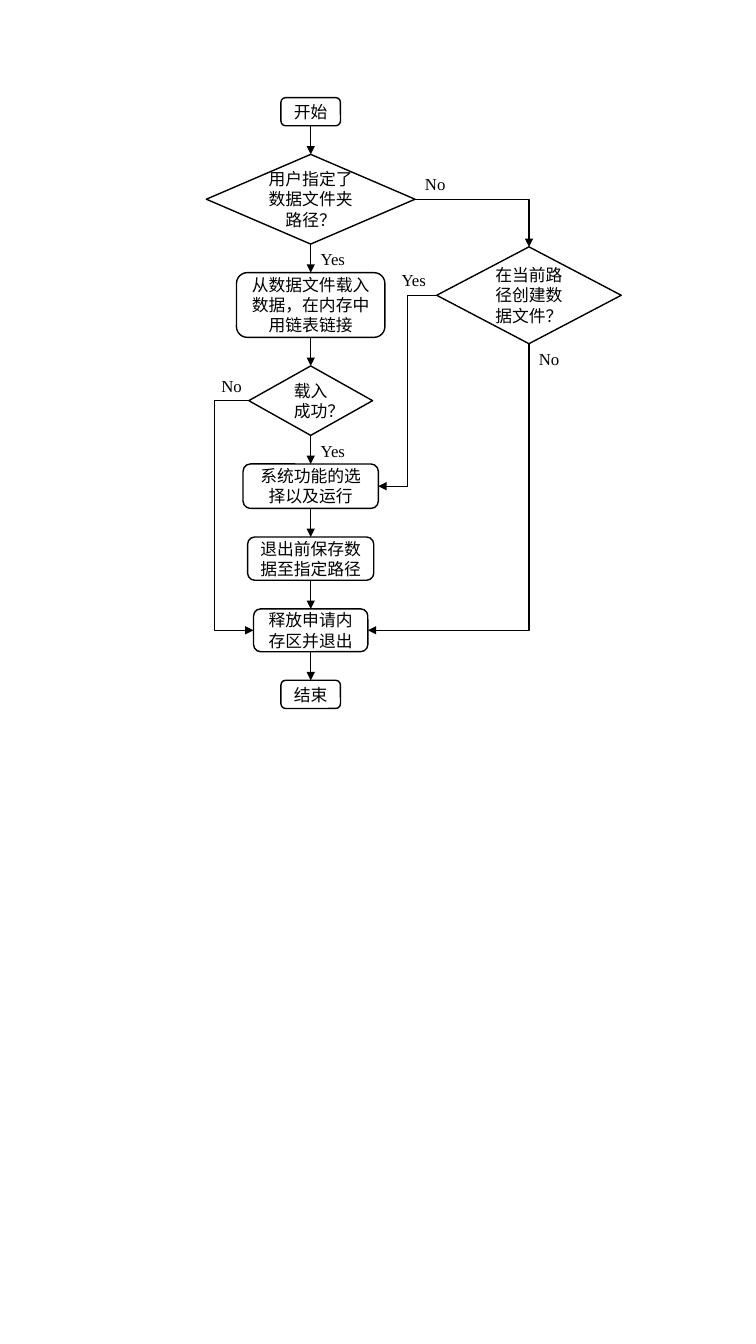
from lxml.etree import SubElement
from pptx import Presentation
from pptx.dml.color import RGBColor
from pptx.enum.shapes import MSO_CONNECTOR as LINK, MSO_SHAPE as SHAPE
from pptx.enum.text import MSO_ANCHOR, MSO_AUTO_SIZE, PP_ALIGN
from pptx.oxml.ns import qn
from pptx.util import Cm, Pt

BLACK, WHITE = "000000", "FFFFFF"
CJK_FONT, LATIN_FONT = "Noto Sans CJK SC", "Times New Roman"
TOP, LEFT, BOTTOM, RIGHT = range(4)  # connection sites
BOX, DECISION = SHAPE.ROUNDED_RECTANGLE, SHAPE.FLOWCHART_DECISION


def paint(color_format, hex_color):
    """Give a fill or a font colour a hex colour."""
    color_format.rgb = RGBColor.from_string(hex_color)


def write(shape, text, font_name, alignment):
    """Put one 12 pt black paragraph into a shape."""
    paragraph = shape.text_frame.paragraphs[0]
    paragraph.text = text
    paragraph.alignment = alignment
    paragraph.font.size = Pt(12)
    paragraph.font.name = font_name
    paint(paragraph.font.color, BLACK)
    default_run = paragraph._p.get_or_add_pPr().get_or_add_defRPr()
    SubElement(default_run, qn("a:ea"), typeface=font_name)


presentation = Presentation()
presentation.slide_width, presentation.slide_height = Cm(19.05), Cm(33.86)
slide = presentation.slides.add_slide(presentation.slide_layouts[6])

# Steps: the main column is stacked with equal gaps, one decision stands beside it
main_x, side_x, gap = 7.83, 13.33, 0.72
main_steps = [
    ("start", BOX, 1.5, 0.71, "开始"),
    ("has_path", DECISION, 5.26, 2.26, "用户指定了数据文件夹路径？"),
    ("load", BOX, 3.74, 1.63, "从数据文件载入数据，在内存中用链表链接"),
    ("loaded", DECISION, 3.12, 1.75, "载入成功？"),
    ("run", BOX, 3.41, 1.12, "系统功能的选择以及运行"),
    ("save", BOX, 3.18, 1.09, "退出前保存数据至指定路径"),
    ("release", BOX, 2.88, 1.08, "释放申请内存区并退出"),
    ("end", BOX, 1.5, 0.71, "结束"),
]
placed_steps = [(side_x, 6.22, "create", DECISION, 4.65, 2.44, "在当前路径创建数据文件？")]
top = 2.46
for step in main_steps:
    placed_steps.append((main_x, top, *step))
    top += step[3] + gap

steps = {}
for center_x, top, name, kind, width, height, text in placed_steps:
    shape = slide.shapes.add_shape(
        kind, Cm(center_x - width / 2), Cm(top), Cm(width), Cm(height))
    shape.shadow.inherit = False
    shape.fill.solid()
    paint(shape.fill.fore_color, WHITE)
    paint(shape.line.color, BLACK)
    shape.line.width = Pt(1)
    shape.text_frame.word_wrap = True
    shape.text_frame.vertical_anchor = MSO_ANCHOR.MIDDLE
    write(shape, text, CJK_FONT, PP_ALIGN.CENTER)
    steps[name] = shape

# Arrows: straight ones down the column, elbows for the branches
column = [step[0] for step in main_steps]
arrows = [(upper, BOTTOM, lower, TOP, "line")
          for upper, lower in zip(column, column[1:])]
arrows += [
    ("has_path", RIGHT, "create", TOP, "bentConnector2"),
    ("create", LEFT, "run", RIGHT, "bentConnector3"),
    ("loaded", LEFT, "release", LEFT, "bentConnector3"),
    ("create", BOTTOM, "release", RIGHT, "bentConnector2"),
]
detour_x = Cm(5.41)
for source, source_site, target, target_site, preset in arrows:
    link = LINK.STRAIGHT if preset == "line" else LINK.ELBOW
    connector = slide.shapes.add_connector(link, 0, 0, 0, 0)
    connector.begin_connect(steps[source], source_site)
    connector.end_connect(steps[target], target_site)
    paint(connector.line.color, BLACK)
    connector.line.width = Pt(1)
    properties = connector._element.spPr
    SubElement(properties.find(qn("a:ln")), qn("a:tailEnd"), type="triangle")
    SubElement(properties, qn("a:effectLst"))
    geometry = properties.find(qn("a:prstGeom"))
    geometry.set("prst", preset)

    if source_site == target_site == LEFT:
        share = (detour_x - connector.begin_x) / connector.width
        SubElement(geometry.find(qn("a:avLst")), qn("a:gd"),
                   name="adj1", fmla=f"val {round(share * 100000)}")
    elif source_site == BOTTOM and target_site == RIGHT:
        # A quarter turn makes the elbow go down first, then left
        width, height = connector.width, connector.height
        connector.left += (width - height) // 2
        connector.top += (height - width) // 2
        connector.width, connector.height = height, width
        transform = properties.find(qn("a:xfrm"))
        transform.attrib.pop("flipH", None)
        transform.set("rot", str(90 * 60000))

# Branch labels sit at the corners where the arrows leave the decisions
label_height, yes_width, no_width = 0.76, 1.14, 1.04
labels = [
    ("Yes", yes_width, main_x, 6.15),
    ("Yes", yes_width, main_x, 10.97),
    ("No", no_width, 10.46, 5.02 - label_height),
    ("Yes", yes_width, 9.87, 7.44 - label_height),
    ("No", no_width, 5.33, 10.1 - label_height),
    ("No", no_width, side_x, 8.66),
]
for text, width, left, top in labels:
    label = slide.shapes.add_textbox(Cm(left), Cm(top), Cm(width), Cm(label_height))
    label.text_frame.word_wrap = False
    label.text_frame.auto_size = MSO_AUTO_SIZE.SHAPE_TO_FIT_TEXT
    write(label, text, LATIN_FONT, PP_ALIGN.LEFT)

presentation.save("out.pptx")
